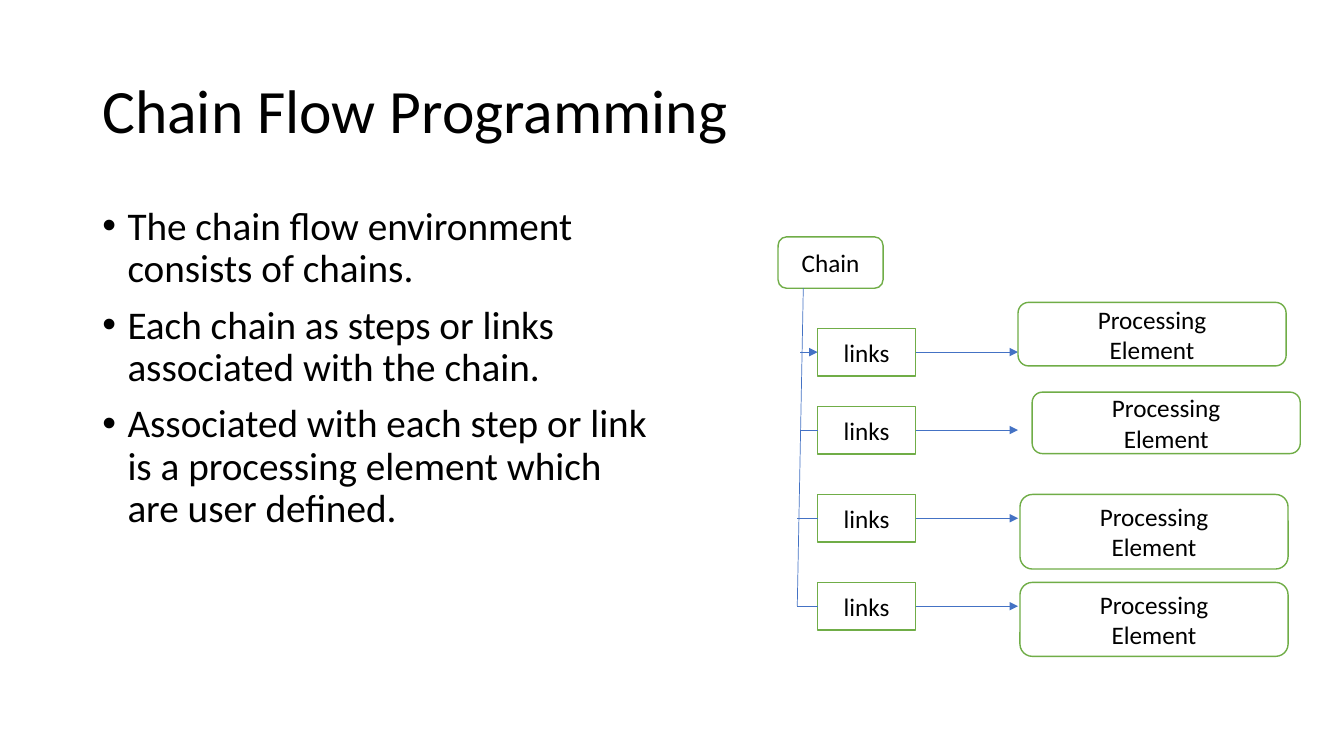
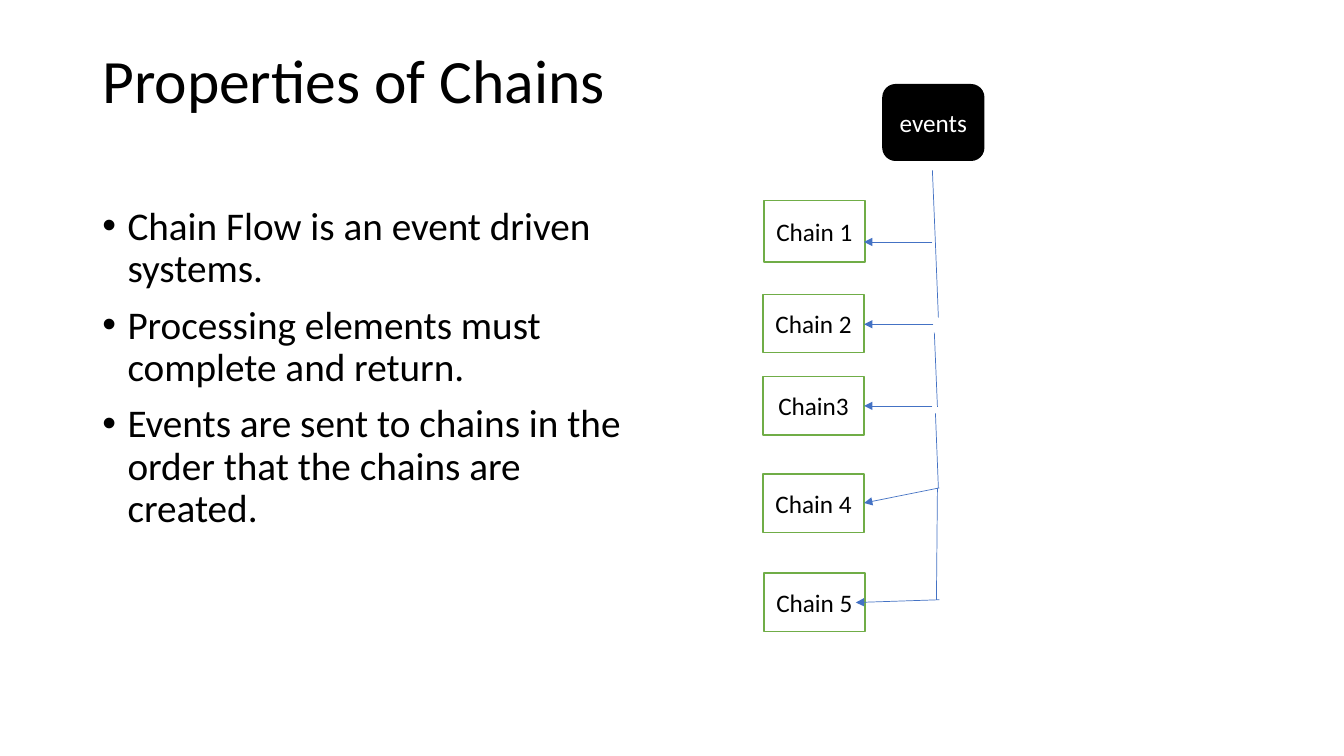
"""Build two slides on chain flow programming, each with bullets and a diagram."""
import pptx
import pptx.dml.color
import pptx.enum.shapes
import pptx.enum.text
import pptx.oxml
import pptx.util
from pptx.oxml import ns

Pt = pptx.util.Pt
RGBColor = pptx.dml.color.RGBColor
MSO_SHAPE = pptx.enum.shapes.MSO_SHAPE
ANCHOR = pptx.enum.text.MSO_ANCHOR
ALIGN = pptx.enum.text.PP_ALIGN

BLACK = RGBColor(0, 0, 0)
WHITE = RGBColor(255, 255, 255)
GREEN = RGBColor(0x70, 0xAD, 0x47)
BLUE = RGBColor(0x44, 0x72, 0xC4)
FONT = "Calibri"

FLOW_TITLE = "Chain Flow Programming"
FLOW_POINTS = [
    "The chain flow environment consists of chains.",
    "Each chain as steps or links associated with the chain.",
    "Associated with each step or link is a processing element which are user defined.",
]
PROPERTIES_TITLE = "Properties of Chains"
PROPERTIES_POINTS = [
    "Chain Flow is an event driven systems.",
    "Processing elements must complete and return.",
    "Events are sent to chains in the order that the chains are created.",
]
PROCESSING = ["Processing", "Element"]

# top of link, start of branch, then left, top and height of its processing element
LINKS = [
    (234.5, 571.7, 727.2, 216, 45.4),
    (290.2, 571.7, 737.3, 280.1, 43.9),
    (353.2, 569.5, 728.6, 353.2, 53.3),
    (416, 569.5, 728.6, 416, 52.8),
]
LINK_LEFT, LINK_WIDTH, LINK_HEIGHT = 584, 70, 34
ARROW_END, ELEMENT_WIDTH = 727.2, 191.5

CHAINS = [
    ("Chain 1", 545.6, 143.4, 43.8, (666, 172.8, 617.2, 172.8)),
    ("Chain 2", 545, 210.2, 41.8, (666.7, 231.6, 617.2, 231.6)),
    ("Chain3", 545, 268.8, 41.8, (666, 289.9, 617.2, 289.9)),
    ("Chain 4", 545, 338.6, 41.8, (671, 348.5, 617.2, 359.3)),
    ("Chain 5", 545.6, 409.2, 41.8, (671, 428.4, 611.3, 430.4)),
]
EVENT_PATH = [
    (666, 121.7, 668.2, 174.2),
    (668.2, 174.2, 670.3, 226.8),
    (667.4, 237.6, 669.6, 290.6),
    (668.2, 295.2, 670.3, 348.5),
    (669.6, 348.5, 668.9, 428.4),
]


def write(shape, lines, size=18, color=BLACK, align=ALIGN.LEFT,
          anchor=ANCHOR.MIDDLE, spacing=None, before=0, bullet=False):
    """Fill a shape with one paragraph per line."""
    frame = shape.text_frame
    frame.word_wrap = True
    frame.vertical_anchor = anchor
    for index, line in enumerate(lines):
        paragraph = frame.add_paragraph() if index else frame.paragraphs[0]
        paragraph.alignment = align
        paragraph.line_spacing = spacing
        paragraph.space_before = Pt(before)
        run = paragraph.add_run()
        run.text = line
        run.font.name, run.font.size = FONT, Pt(size)
        run.font.color.rgb = color
        if bullet:
            props = paragraph._p.get_or_add_pPr()
            props.set("marL", str(Pt(18)))
            props.set("indent", str(-Pt(18)))
            props.append(pptx.oxml.parse_xml(
                f'<a:buFont {ns.nsdecls("a")} typeface="Arial"/>'))
            props.append(pptx.oxml.parse_xml(
                f'<a:buChar {ns.nsdecls("a")} char="\u2022"/>'))


def text_area(slide, box, lines, **style):
    area = slide.shapes.add_textbox(*map(Pt, box))
    write(area, lines, spacing=0.9, **style)


def node(slide, box, lines, kind=MSO_SHAPE.RECTANGLE, fill=WHITE, line=GREEN, color=BLACK):
    shape = slide.shapes.add_shape(kind, *map(Pt, box))
    shape.shadow.inherit = False
    shape.fill.solid()
    shape.fill.fore_color.rgb = fill
    shape.line.color.rgb = line
    shape.line.width = Pt(1)
    write(shape, lines, color=color, align=ALIGN.CENTER)


def link_line(slide, ends, arrow=False):
    connector = slide.shapes.add_connector(
        pptx.enum.shapes.MSO_CONNECTOR.STRAIGHT, *map(Pt, ends))
    connector.line.color.rgb = BLUE
    connector.line.width = Pt(0.5)
    if arrow:
        connector.line._get_or_add_ln().append(pptx.oxml.parse_xml(
            f'<a:tailEnd {ns.nsdecls("a")} type="triangle"/>'))
    connector._element.spPr.append(
        pptx.oxml.parse_xml(f'<a:effectLst {ns.nsdecls("a")}/>'))


def bullet_slide(deck, title, points, title_top):
    slide = deck.slides.add_slide(deck.slide_layouts[6])
    text_area(slide, (66, title_top, 828, 104.4), [title], size=44)
    text_area(slide, (66, 144, 408, 342.6), points, size=28,
              anchor=ANCHOR.TOP, before=10, bullet=True)
    return slide


deck = pptx.Presentation()
deck.slide_width, deck.slide_height = Pt(960), Pt(540)

flow = bullet_slide(deck, FLOW_TITLE, FLOW_POINTS, 28.8)
node(flow, (555.8, 169.2, 75, 36.7), ["Chain"], MSO_SHAPE.ROUNDED_RECTANGLE)
link_line(flow, (573.8, 205.9, 569.5, 432.9))
for index, (top, branch, left, element_top, height) in enumerate(LINKS):
    middle = top + LINK_HEIGHT / 2
    node(flow, (LINK_LEFT, top, LINK_WIDTH, LINK_HEIGHT), ["links"])
    link_line(flow, (branch, middle, LINK_LEFT, middle), arrow=index == 0)
    link_line(flow, (LINK_LEFT + LINK_WIDTH, middle, ARROW_END, middle), arrow=True)
    node(flow, (left, element_top, ELEMENT_WIDTH, height), PROCESSING,
         MSO_SHAPE.ROUNDED_RECTANGLE)

properties = bullet_slide(deck, PROPERTIES_TITLE, PROPERTIES_POINTS, 7.2)
for name, left, top, height, arrow_ends in CHAINS:
    node(properties, (left, top, 72.2, height), [name])
    link_line(properties, arrow_ends, arrow=True)
for segment in EVENT_PATH:
    link_line(properties, segment)
node(properties, (630.7, 60.5, 72, 54), ["events"], MSO_SHAPE.ROUNDED_RECTANGLE,
     fill=BLACK, line=BLACK, color=WHITE)

deck.save("out.pptx")
